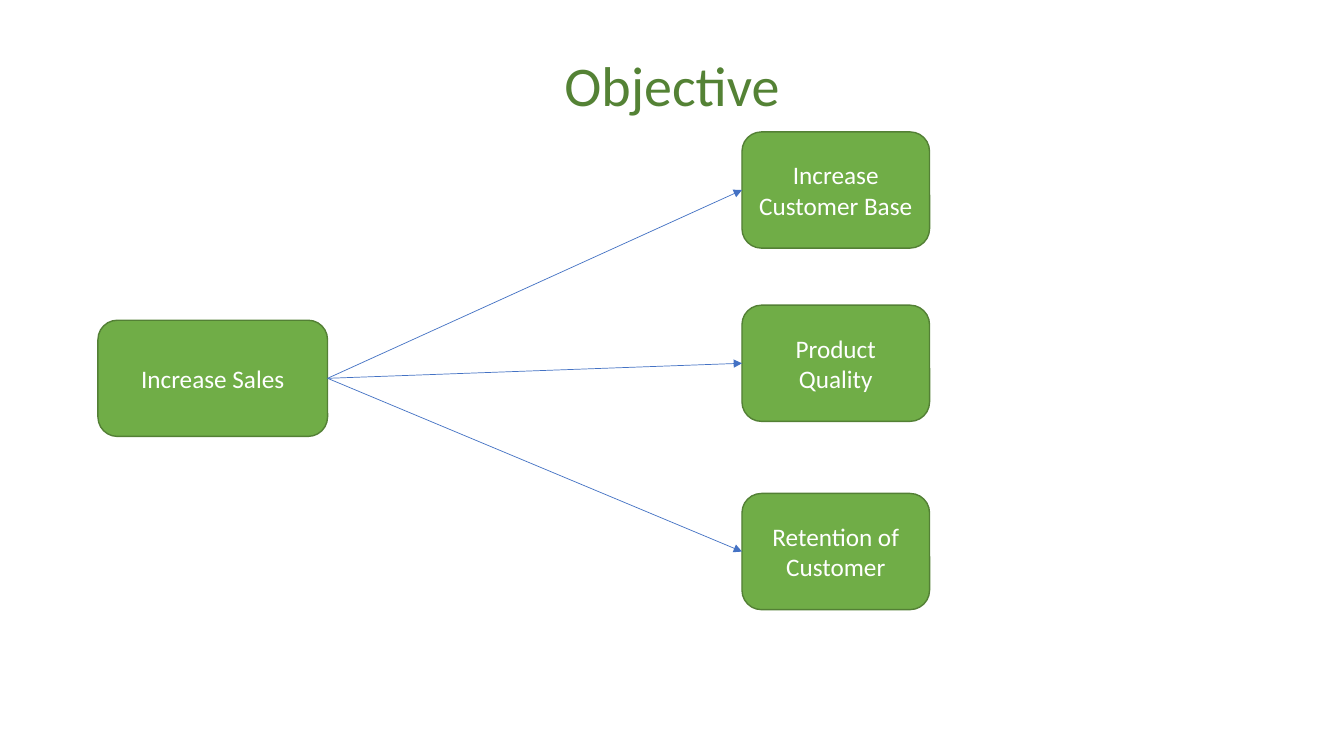
from lxml import etree
from pptx import Presentation
from pptx.dml.color import RGBColor
from pptx.enum.shapes import MSO_CONNECTOR as CONN, MSO_SHAPE as SHAPE
from pptx.enum.text import MSO_ANCHOR as ANCHOR, MSO_AUTO_SIZE as FIT, PP_ALIGN as ALIGN
from pptx.oxml.ns import qn
from pptx.util import Pt

GREEN = RGBColor(0x70, 0xAD, 0x47)
EDGE = RGBColor(0x53, 0x80, 0x35)
TITLE = RGBColor(0x54, 0x82, 0x35)
BLUE = RGBColor(0x44, 0x72, 0xC4)
WHITE = RGBColor(0xFF, 0xFF, 0xFF)

LEFT, RIGHT = 1, 3
BOX_H = 83
GOAL_X, GOAL_W = 530, 134
GOALS = [
    ("Increase Customer Base", 94.25),
    ("Product Quality", 218),
    ("Retention of Customer", 352.5),
]


def write(tf, text, size=18, color=WHITE, font="Calibri", anchor=ANCHOR.MIDDLE, spacing=1.0):
    tf.word_wrap = True
    tf.auto_size = FIT.NONE
    tf.vertical_anchor = anchor
    p = tf.paragraphs[0]
    p.alignment = ALIGN.CENTER
    p.line_spacing = spacing
    r = p.add_run()
    r.text = text
    r.font.size = Pt(size)
    r.font.name = font
    r.font.color.rgb = color


class Deck:
    fill, edge, arrow_color = GREEN, EDGE, BLUE

    def __init__(self, prs):
        self.slide = prs.slides.add_slide(prs.slide_layouts[5])

    def title(self, text, x, y, w, h):
        sp = self.slide.shapes.title
        sp.left, sp.top, sp.width, sp.height = Pt(x), Pt(y), Pt(w), Pt(h)
        write(sp.text_frame, text, size=40, color=TITLE, anchor=ANCHOR.TOP, spacing=0.9)

    def box(self, text, x, y, w, h=BOX_H):
        sp = self.slide.shapes.add_shape(SHAPE.ROUNDED_RECTANGLE, Pt(x), Pt(y), Pt(w), Pt(h))
        sp.shadow.inherit = False
        sp.fill.solid()
        sp.fill.fore_color.rgb = self.fill
        sp.line.color.rgb = self.edge
        sp.line.width = Pt(1)
        write(sp.text_frame, text)
        return sp

    def arrow(self, start, end):
        cxn = self.slide.shapes.add_connector(CONN.STRAIGHT, 0, 0, 0, 0)
        cxn.begin_connect(start, RIGHT)
        cxn.end_connect(end, LEFT)
        cxn.line.color.rgb = self.arrow_color
        cxn.line.width = Pt(0.5)
        etree.SubElement(cxn.line._get_or_add_ln(), qn("a:tailEnd"), type="triangle")
        etree.SubElement(cxn._element.spPr, qn("a:effectLst"))


prs = Presentation()
prs.slide_width, prs.slide_height = Pt(960), Pt(540)
deck = Deck(prs)
deck.title("Objective", 120, 38, 720, 46)
sales = deck.box("Increase Sales", 70, 228.75, 164)
for text, y in GOALS:
    goal = deck.box(text, GOAL_X, y, GOAL_W)
    deck.arrow(sales, goal)
prs.save("out.pptx")
